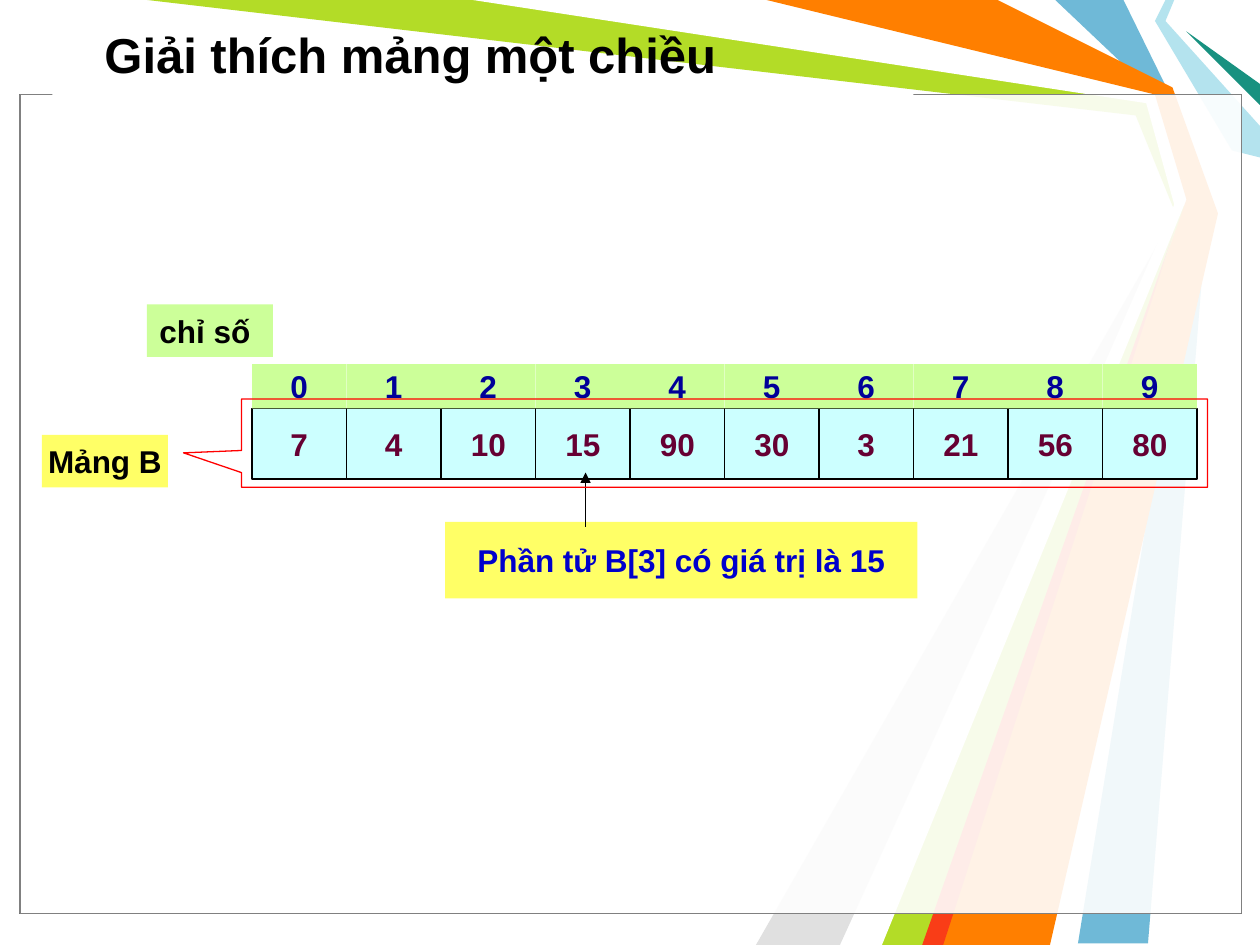
from dataclasses import dataclass
from typing import Optional

from lxml import etree
from pptx import Presentation
from pptx import util as u
from pptx.dml.color import RGBColor
from pptx.enum import shapes, text
from pptx.oxml.ns import qn

Pt = u.Pt
FONT = "Arial"
HUES = {
    "black": "000000", "white": "FFFFFF", "gray": "808080", "red": "FF0000",
    "sky": "6FB9D7", "leaf": "B3DC27", "ash": "E0E0E0", "ice": "B4E3EE",
    "teal": "189180", "orange": "FF7F00", "flame": "F93D17",
    "aqua": "CCFFFF", "lime": "CCFF99", "lemon": "FFFF66",
    "wine": "660033", "navy": "000099", "blue": "0000CC",
}


@dataclass
class Ray:
    hue: str
    dots: list


@dataclass
class Box:
    x: float
    y: float
    w: float
    h: float
    fill: Optional[str] = None
    line: Optional[str] = None
    words: str = ""
    ink: str = "black"
    left: bool = False
    alpha: int = 100
    kind: int = shapes.MSO_SHAPE.RECTANGLE


RAYS = [
    Ray("sky", [(642, 0), (669, 55), (690, 120), (656, 539), (616, 539),
                (684, 120), (660, 54), (603, 0)]),
    Ray("leaf", [(84, 0), (276, 0), (658, 56), (678, 122), (534, 540),
                 (498, 540), (673, 125), (649, 66)]),
    Ray("ash", [(480, 540), (667, 130), (432, 540)]),
    Ray("white", [(270, 0), (655, 59), (671, 117), (486, 540), (504, 540),
                  (678, 114), (660, 54), (432, 0)]),
    Ray("ice", [(666, 0), (660, 12), (704, 86), (720, 90), (720, 72),
                (666, 12), (671, 0)]),
    Ray("teal", [(720, 60), (678, 18), (720, 48)]),
    Ray("orange", [(438, 0), (570, 0), (670, 50), (696, 122), (600, 540),
                   (528, 540), (678, 114), (660, 54)]),
    Ray("flame", [(527, 540), (671, 132), (539, 540)]),
]
VALUES = [7, 4, 10, 15, 90, 30, 3, 21, 56, 80]
LEFT, STEP = 144, 54
FRAME = (11.5, 54, 698, 468)


def rgb(hue: str) -> RGBColor:
    return RGBColor.from_string(HUES[hue])


def paint(shape, fill: Optional[str], line: Optional[str]) -> None:
    shape.shadow.inherit = False
    if fill:
        shape.fill.solid()
        shape.fill.fore_color.rgb = rgb(fill)
    else:
        shape.fill.background()
    if line:
        shape.line.color.rgb = rgb(line)
        shape.line.width = Pt(0.75)
    else:
        shape.line.fill.background()


def write(frame, words: str, size: int, ink: str, align) -> None:
    frame.vertical_anchor = text.MSO_ANCHOR.MIDDLE
    para = frame.paragraphs[0]
    para.alignment = align
    run = para.add_run()
    run.text = words
    run.font.name = FONT
    run.font.size = Pt(size)
    run.font.bold = True
    run.font.color.rgb = rgb(ink)


def draw_ray(slide, ray: Ray) -> None:
    first, *rest = ray.dots
    path = slide.shapes.build_freeform(*first, scale=Pt(1))
    path.add_line_segments(rest, close=True)
    paint(path.convert_to_shape(), ray.hue, None)


def draw_box(slide, box: Box):
    shape = slide.shapes.add_shape(
        box.kind, Pt(box.x), Pt(box.y), Pt(box.w), Pt(box.h))
    paint(shape, box.fill, box.line)
    if box.alpha < 100:
        tint = shape.element.spPr.find(qn("a:solidFill"))[0]
        etree.SubElement(tint, qn("a:alpha"), val=str(box.alpha * 1000))
    if box.words:
        shape.text_frame.word_wrap = box.left
        align = text.PP_ALIGN.LEFT if box.left else text.PP_ALIGN.CENTER
        write(shape.text_frame, box.words, 18, box.ink, align)
    return shape


def draw_title(slide, words: str) -> None:
    title = slide.shapes.title
    title.left, title.top = Pt(52.5), Pt(6)
    title.width, title.height = Pt(656), Pt(50)
    title.text_frame.auto_size = text.MSO_AUTO_SIZE.NONE
    write(title.text_frame, words, 28, "black", text.PP_ALIGN.LEFT)
    title.element.getparent().append(title.element)


def draw_arrow(slide, x: float, start: float, end: float) -> None:
    arrow = slide.shapes.add_connector(
        shapes.MSO_CONNECTOR.STRAIGHT, Pt(x), Pt(start), Pt(x), Pt(end))
    arrow.line.color.rgb = rgb("black")
    arrow.line.width = Pt(0.75)
    etree.SubElement(arrow.line._get_or_add_ln(), qn("a:tailEnd"),
                     type="triangle")
    etree.SubElement(arrow.element.spPr, qn("a:effectLst"))


def main() -> None:
    deck = Presentation()
    deck.slide_width, deck.slide_height = Pt(720), Pt(540)
    slide = deck.slides.add_slide(deck.slide_layouts[5])

    for ray in RAYS:
        draw_ray(slide, ray)
    for edge in ("black", "gray"):
        draw_box(slide, Box(*FRAME, "white", edge, alpha=69))
    draw_box(slide, Box(30, 53.3, 492, 12, "white"))
    draw_title(slide, "Giải thích mảng một chiều")

    for i, value in enumerate(VALUES):
        draw_box(slide, Box(LEFT + i * STEP, 233.3, STEP, 40.5, "aqua",
                            "black", str(value), "wine"))
    draw_box(slide, Box(24, 248.5, 72, 30, "lemon", words="Mảng B"))
    draw_box(slide, Box(254.3, 298.2, 270, 43.8, "lemon",
                        words="Phần tử B[3] có giá trị là 15", ink="blue"))
    draw_arrow(slide, 334.6, 301, 270)
    for i in range(len(VALUES)):
        draw_box(slide, Box(LEFT + i * STEP, 208, STEP, 25.3, "lime",
                            words=str(i), ink="navy"))

    call = draw_box(slide, Box(
        138, 228, 552, 50.5, line="red",
        kind=shapes.MSO_SHAPE.RECTANGULAR_CALLOUT))
    call.adjustments[0], call.adjustments[1] = -0.56, 0.11
    draw_box(slide, Box(84, 174, 72, 30, "lime", words="chỉ số", left=True))
    deck.save("out.pptx")


if __name__ == "__main__":
    main()
